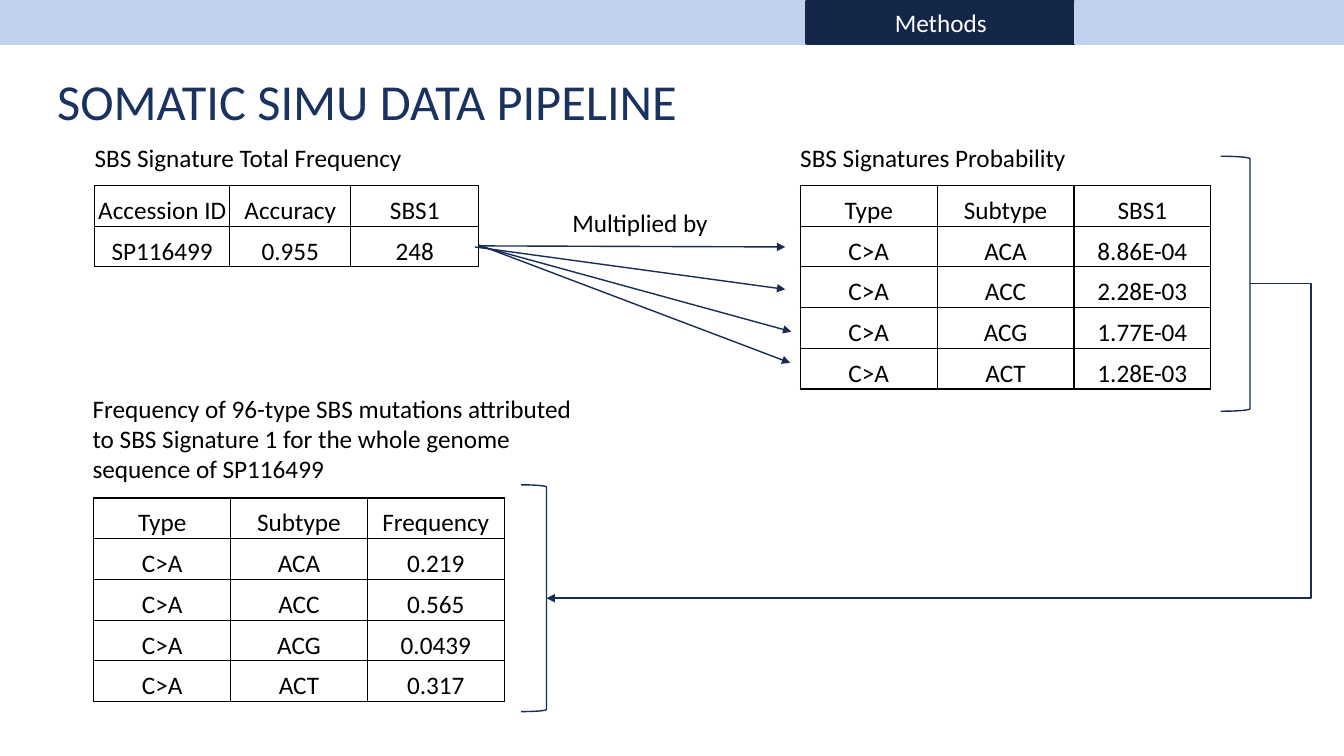
from lxml import etree
from pptx import Presentation, util as u
from pptx.dml.color import RGBColor
from pptx.enum import shapes as es, text as et
from pptx.oxml import parse_xml
from pptx.oxml.ns import nsdecls, qn

WIDE, HIGH = u.Inches(13.33), u.Inches(7.5)
NAVY = RGBColor(0x14, 0x26, 0x48)
TITLE = RGBColor(0x1A, 0x32, 0x60)
LINE = RGBColor(0x17, 0x2D, 0x56)
PALE = RGBColor(0xC2, 0xD1, 0xEE)
BLACK = RGBColor(0, 0, 0)
WHITE = RGBColor(255, 255, 255)
ROW = 5.39
THIRDS = [10.18] * 3
SUBTYPES = ["ACA", "ACC", "ACG", "ACT"]


def px(share):
    """Percent of the slide's width."""
    return u.Emu(round(WIDE * share / 100))


def py(share):
    """Percent of the slide's height."""
    return u.Emu(round(HIGH * share / 100))


def area(x, y, w, h):
    return px(x), py(y), px(w), py(h)


def write(frame, words, size=18, color=BLACK, align=et.PP_ALIGN.LEFT,
          anchor=et.MSO_ANCHOR.TOP):
    frame.word_wrap = True
    frame.vertical_anchor = anchor
    para = frame.paragraphs[0]
    para.alignment = align
    run = para.add_run()
    run.text = words
    run.font.name = "Calibri"
    run.font.size = u.Pt(size)
    run.font.color.rgb = color


def add_title(slide, words):
    title = slide.shapes.title
    title.left, title.top, title.width, title.height = area(3.5, 8.67, 92, 9.33)
    title.text_frame.auto_size = et.MSO_AUTO_SIZE.NONE
    write(title.text_frame, words, size=36, color=TITLE,
          anchor=et.MSO_ANCHOR.BOTTOM)


def add_tabs(slide, names):
    """Navigation strip; the named tab is the current one."""
    step = 100 / len(names)
    for i, name in enumerate(names):
        tab = slide.shapes.add_shape(es.MSO_SHAPE.RECTANGLE,
                                     *area(i * step, 0.13, step, 5.6))
        tab.shadow.inherit = False
        color = NAVY if name else PALE
        tab.fill.solid()
        tab.fill.fore_color.rgb = color
        tab.line.color.rgb = color
        tab.line.width = u.Pt(1.75)
        if name:
            write(tab.text_frame, name, color=WHITE,
                  align=et.PP_ALIGN.CENTER, anchor=et.MSO_ANCHOR.MIDDLE)


def add_label(slide, words, x, y, w, h=5.33):
    box = slide.shapes.add_textbox(*area(x, y, w, h))
    write(box.text_frame, words)
    box.text_frame.auto_size = et.MSO_AUTO_SIZE.SHAPE_TO_FIT_TEXT


def rule(cell):
    """Black 1 pt border on all four sides."""
    props = cell._tc.get_or_add_tcPr()
    for i, side in enumerate("LRTB"):
        props.insert(i, parse_xml(
            f'<a:ln{side} {nsdecls("a")} w="12700"><a:solidFill>'
            f'<a:srgbClr val="{BLACK}"/></a:solidFill></a:ln{side}>'))


def add_grid(slide, x, y, cols, rows):
    table = slide.shapes.add_table(
        len(rows), len(cols), *area(x, y, sum(cols), ROW * len(rows))).table
    table.first_row = table.horz_banding = False
    for col, w in zip(table.columns, cols):
        col.width = px(w)
    for line, values in zip(table.rows, rows):
        line.height = py(ROW)
        for cell, value in zip(line.cells, values):
            cell.fill.background()
            rule(cell)
            cell.margin_left = cell.margin_right = u.Inches(0.01)
            cell.margin_top, cell.margin_bottom = u.Inches(0.01), 0
            write(cell.text_frame, value, align=et.PP_ALIGN.CENTER)
            cell.vertical_anchor = et.MSO_ANCHOR.BOTTOM


def add_types(slide, x, y, head, values):
    rows = [["C>A", sub, value] for sub, value in zip(SUBTYPES, values)]
    add_grid(slide, x, y, THIRDS, [["Type", "Subtype", head]] + rows)


def add_line(slide, start, end, arrow=True, kind=es.MSO_CONNECTOR.STRAIGHT):
    link = slide.shapes.add_connector(kind, px(start[0]), py(start[1]),
                                      px(end[0]), py(end[1]))
    link.line.color.rgb = LINE
    link.line.width = u.Pt(1)
    if arrow:
        etree.SubElement(link.line._get_or_add_ln(), qn("a:tailEnd"),
                         type="triangle")
    props = link._element.spPr
    etree.SubElement(props, qn("a:effectLst"))
    if kind == es.MSO_CONNECTOR.ELBOW:
        shape = props.find(qn("a:prstGeom"))
        guides = shape.find(qn("a:avLst"))
        if guides is None:
            guides = etree.SubElement(shape, qn("a:avLst"))
        etree.SubElement(guides, qn("a:gd"), name="adj1", fmla="val -100")


def add_bracket(slide, x, y, w, h):
    """Right bracket; returns the middle of its spine."""
    mark = slide.shapes.add_shape(es.MSO_SHAPE.RIGHT_BRACKET, *area(x, y, w, h))
    mark.shadow.inherit = False
    mark.fill.background()
    mark.line.color.rgb = LINE
    mark.line.width = u.Pt(1)
    return x + w, y + h / 2


def main():
    deck = Presentation()
    deck.slide_width, deck.slide_height = WIDE, HIGH
    slide = deck.slides.add_slide(deck.slide_layouts[5])
    add_title(slide, "SOMATIC SIMU DATA PIPELINE")
    add_tabs(slide, ["", "", "", "Methods", ""])

    add_label(slide, "SBS Signature Total Frequency", 6.3, 18.13, 25.5)
    add_grid(slide, 7.05, 24.53, [10.05, 9, 9.53],
             [["Accession ID", "Accuracy", "SBS1"],
              ["SP116499", "0.955", "248"]])

    add_label(slide, "SBS Signatures Probability", 58.8, 18.13, 22)
    add_types(slide, 59.55, 24.53, "SBS1",
              ["8.86E-04", "2.28E-03", "1.77E-04", "1.28E-03"])

    add_label(slide, "Multiplied by", 41.85, 26.8, 11.63)
    for start, end in [((35.63, 32.53), (58.43, 32.67)),
                       ((35.33, 32.67), (58.43, 38.27)),
                       ((35.63, 32.53), (58.88, 43.87)),
                       ((35.63, 32.4), (58.8, 48))]:
        add_line(slide, start, end)

    add_label(slide, "Frequency of 96-type SBS mutations attributed to SBS "
              "Signature 1 for the whole genome sequence of SP116499",
              6.15, 51.33, 37.2, 13.47)
    add_types(slide, 6.98, 65.87, "Frequency",
              ["0.219", "0.565", "0.0439", "0.317"])

    source = add_bracket(slide, 90.83, 20.67, 2.18, 33.73)
    result = add_bracket(slide, 38.78, 64.13, 1.88, 30)
    corner = 97.5, source[1]
    add_line(slide, source, corner, arrow=False)
    add_line(slide, corner, result, kind=es.MSO_CONNECTOR.ELBOW)
    deck.save("out.pptx")


if __name__ == "__main__":
    main()
